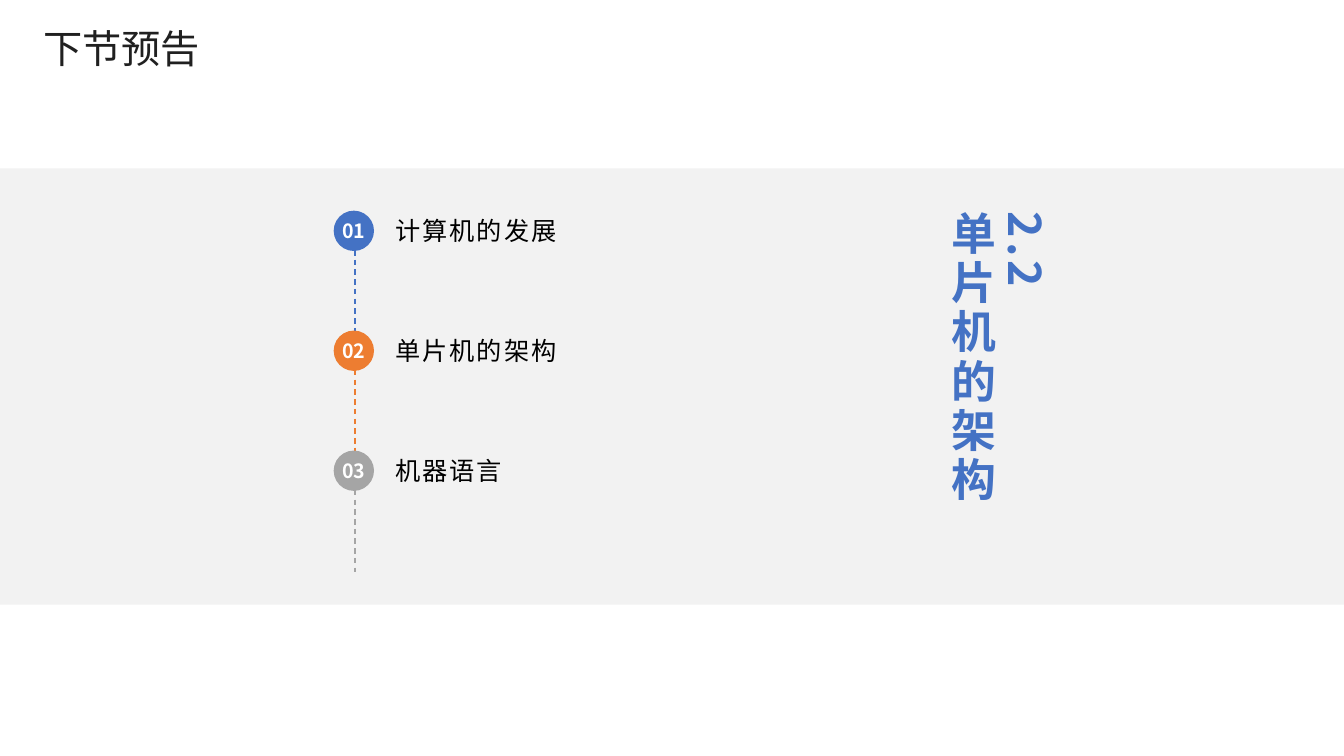
from lxml import etree
from pptx import Presentation
from pptx.dml.color import RGBColor
from pptx.enum.dml import MSO_LINE
from pptx.enum.shapes import MSO_CONNECTOR, MSO_SHAPE
from pptx.enum.text import MSO_ANCHOR, PP_ALIGN
from pptx.oxml.ns import qn
from pptx.util import Inches, Pt

# Content
TITLE = "下节预告"
SECTION = ["2.2", "单片机的架构"]
TOPICS = [
    ("01", "计算机的发展", "blue"),
    ("02", "单片机的架构", "orange"),
    ("03", "机器语言", "gray"),
]

COLORS = {
    "blue": "4472C4", "orange": "ED7D31", "gray": "A5A5A5",
    "band": "F2F2F2", "title": "202020", "black": "000000", "white": "FFFFFF",
}
NOTO = "Noto Sans CJK SC"
LEFT, CENTER = PP_ALIGN.LEFT, PP_ALIGN.CENTER
TOP, MIDDLE, BOTTOM = MSO_ANCHOR.TOP, MSO_ANCHOR.MIDDLE, MSO_ANCHOR.BOTTOM
STEP = 1.19
DOT = 0.4


def rgb(name):
    return RGBColor.from_string(COLORS[name])


def box(*sizes):
    return [Inches(size) for size in sizes]


def write(frame, lines, size, color, face=NOTO, bold=False, gap=0,
          align=LEFT, anchor=TOP, wrap=True):
    """Fill a text frame; gap is the letter spacing in points."""
    frame.word_wrap = wrap
    frame.vertical_anchor = anchor
    for i, line in enumerate(lines):
        para = frame.paragraphs[0] if i == 0 else frame.add_paragraph()
        para.alignment = align
        run = para.add_run()
        run.text = line
        font = run.font
        font.name, font.size, font.bold = face, Pt(size), bold
        font.color.rgb = rgb(color)
        props = run._r.get_or_add_rPr()
        etree.SubElement(props, qn("a:ea")).set("typeface", NOTO)
        if gap:
            props.set("spc", str(int(gap * 100)))


def solid(slide, kind, place, color):
    shape = slide.shapes.add_shape(kind, *box(*place))
    shape.shadow.inherit = False
    shape.fill.solid()
    shape.fill.fore_color.rgb = rgb(color)
    shape.line.fill.background()
    return shape


def add_topic(slide, top, number, label, color):
    # Label
    text = slide.shapes.add_textbox(*box(3.82, top, 4.53, 1.11)).text_frame
    write(text, [label], 18, "black", face="Arial", gap=1.5)
    text.paragraphs[0].line_spacing = 1.3
    # Numbered dot
    dot = solid(slide, MSO_SHAPE.OVAL, (3.31, top + 0.09, DOT, DOT), color)
    write(dot.text_frame, [number], 14, "white", bold=True,
          align=CENTER, anchor=MIDDLE, wrap=False)
    # Dashed line below the dot
    line = slide.shapes.add_connector(
        MSO_CONNECTOR.STRAIGHT, *box(3.52, top + 0.48, 3.52, top + 1.29))
    line.line.color.rgb = rgb(color)
    line.line.width = Pt(1)
    line.line.dash_style = MSO_LINE.DASH
    etree.SubElement(line._element.spPr, qn("a:effectLst"))


def main():
    deck = Presentation()
    deck.slide_width, deck.slide_height = box(13.33, 7.5)
    slide = deck.slides.add_slide(deck.slide_layouts[5])

    # Title
    title = slide.shapes.title
    title.left, title.top, title.width, title.height = box(0.33, 0.17, 6.63, 0.67)
    write(title.text_frame, [TITLE], 28, "title", anchor=MIDDLE)
    head = title.text_frame.paragraphs[0]
    head.line_spacing, head.space_before = 0.9, Pt(10)

    # Background band
    solid(slide, MSO_SHAPE.RECTANGLE, (0, 1.67, 13.33, 4.33), "band")

    # Vertical section name
    name = slide.shapes.add_textbox(*box(9.33, 2, 1.34, 3.67)).text_frame
    write(name, SECTION, 32, "blue", bold=True, gap=3, anchor=BOTTOM)
    name._txBody.bodyPr.set("vert", "eaVert")

    # Topics
    for i, topic in enumerate(TOPICS):
        add_topic(slide, 2 + i * STEP, *topic)

    deck.save("out.pptx")


if __name__ == "__main__":
    main()
